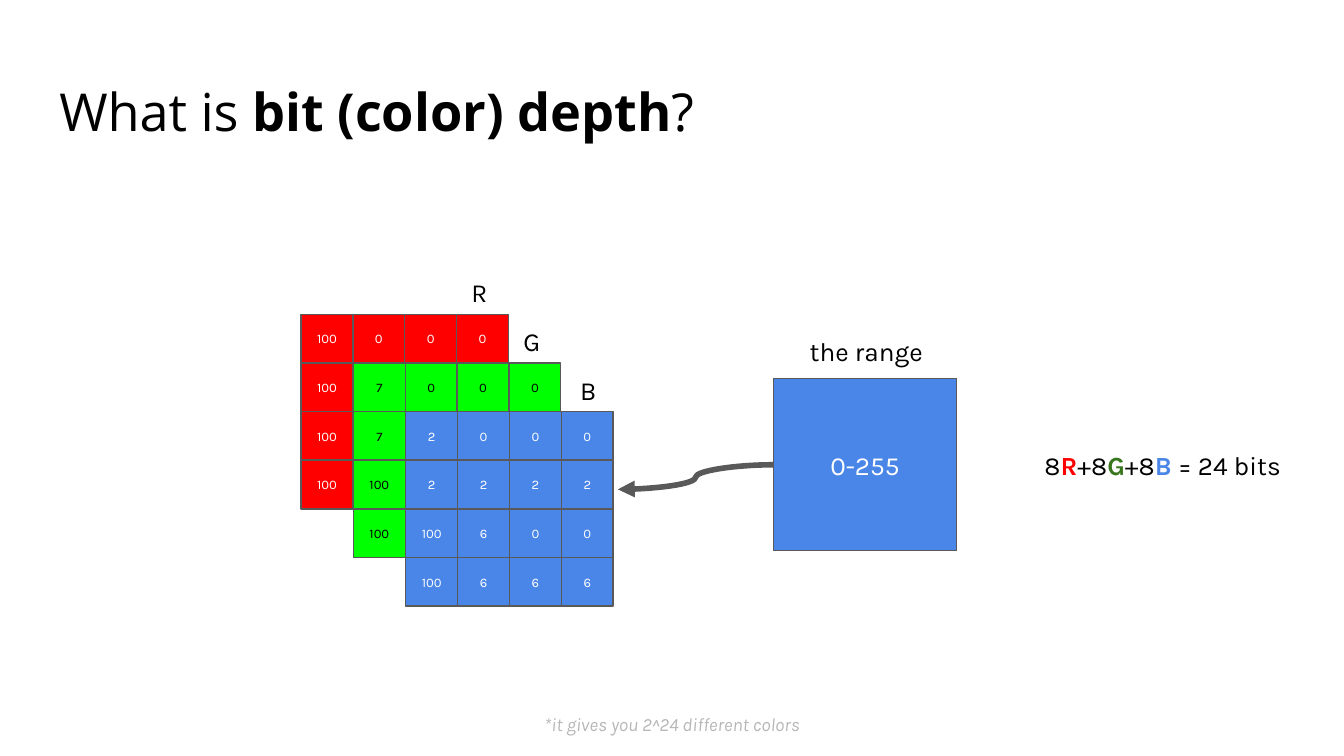
from lxml.etree import SubElement
from pptx import Presentation
from pptx.dml.color import RGBColor
from pptx.enum.shapes import MSO_CONNECTOR as Link, MSO_SHAPE as Shape
from pptx.enum.text import MSO_ANCHOR as Anchor, MSO_AUTO_SIZE as AutoSize, PP_ALIGN as Align
from pptx.oxml.ns import qn
from pptx.util import Cm, Pt

BLACK, WHITE, GREY, PALE = "000000", "FFFFFF", "595959", "B7B7B7"
RED, GREEN, BLUE, DARK_GREEN = "FF0000", "00FF00", "4A86E8", "38761D"
CELL_WIDTH, CELL_HEIGHT = 0.98, 0.92
STACK_LEFT, STACK_TOP = 5.69, 5.94
PLANE_SHIFT = 0.99

PLANES = [
    (RED, WHITE, [["100", "0", "0", "0"], ["100"], ["100"], ["100"]]),
    (GREEN, BLACK, [["7", "0", "0", "0"], ["7"], ["100"], ["100"]]),
    (BLUE, WHITE, [["2", "0", "0", "0"],
                   ["2", "2", "2", "2"],
                   ["100", "6", "0", "0"],
                   ["100", "6", "6", "6"]]),
]


def rgb(color):
    return RGBColor.from_string(color)


def write(box, text, size=14, color=BLACK, font="Karla", italic=False,
          align=Align.CENTER, anchor=Anchor.TOP):
    frame = box.text_frame
    frame.word_wrap = True
    frame.auto_size = AutoSize.NONE
    frame.vertical_anchor = anchor
    frame.margin_left = frame.margin_right = Cm(0.25)
    frame.margin_top = frame.margin_bottom = Cm(0.25)
    para = frame.paragraphs[0]
    para.alignment = align
    pieces = [(text, color, False)] if isinstance(text, str) else text
    for words, tint, bold in pieces:
        span = para.add_run()
        span.text = words
        span.font.name = font
        span.font.size = Pt(size)
        span.font.bold = bold
        span.font.italic = italic
        span.font.color.rgb = rgb(tint)


def add_title(page, text):
    title = page.shapes.title
    title.left, title.top, title.width, title.height = Cm(0.87), Cm(1.24), Cm(23.67), Cm(1.6)
    write(title, text, size=28, font="Open Sans", align=Align.LEFT)


def add_text(page, left, top, width, height, text, **style):
    box = page.shapes.add_textbox(Cm(left), Cm(top), Cm(width), Cm(height))
    write(box, text, **style)


def add_box(shapes, left, top, width, height, fill, text, **style):
    box = shapes.add_shape(Shape.RECTANGLE, Cm(left), Cm(top), Cm(width), Cm(height))
    box.shadow.inherit = False
    box.fill.solid()
    box.fill.fore_color.rgb = rgb(fill)
    box.line.color.rgb = rgb(GREY)
    box.line.width = Pt(0.75)
    write(box, text, anchor=Anchor.MIDDLE, **style)
    return box


def add_plane(page, left, top, fill, ink, values):
    group = page.shapes.add_group_shape()
    for row, numbers in enumerate(values):
        for column, number in enumerate(numbers):
            add_box(group.shapes, left + column * CELL_WIDTH, top + row * CELL_HEIGHT,
                    CELL_WIDTH, CELL_HEIGHT, fill, number, size=7, color=ink)


def add_curved_arrow(page, source, end_x, end_y):
    arrow = page.shapes.add_connector(Link.CURVE, source.left, source.top, Cm(end_x), Cm(end_y))
    arrow.begin_connect(source, 1)
    arrow.line.color.rgb = rgb(GREY)
    arrow.line.width = Pt(3)
    SubElement(arrow.line._get_or_add_ln(), qn("a:tailEnd"), type="triangle")
    SubElement(arrow._element.spPr, qn("a:effectLst"))


def main():
    deck = Presentation()
    deck.slide_width, deck.slide_height = Cm(25.4), Cm(14.29)
    page = deck.slides.add_slide(deck.slide_layouts[5])

    add_title(page, [("What is ", BLACK, False), ("bit (color) depth", BLACK, True),
                     ("?", BLACK, False)])
    add_text(page, 18.55, 7.16, 6.85, 3.25,
             [("8", BLACK, False), ("R", RED, True), ("+8", BLACK, False),
              ("G", DARK_GREEN, True), ("+8", BLACK, False), ("B", BLUE, True),
              (" = 24 bits", BLACK, False)], anchor=Anchor.MIDDLE)
    add_text(page, 0, 13.22, 25.4, 1.07, "*it gives you 2^24 different colors",
             size=10, color=PALE, italic=True)
    for channel, left, top in [("R", 8.5, 4.97), ("G", 9.49, 5.9), ("B", 10.56, 6.82)]:
        add_text(page, left, top, 1.12, 1.07, channel)

    range_box = add_box(page.shapes, 14.62, 7.16, 3.46, 3.25, BLUE, "0-255", color=WHITE)
    add_curved_arrow(page, range_box, 11.68, 9.25)
    add_text(page, 14.52, 6.09, 3.71, 1.07, "the range")

    for depth, (fill, ink, values) in enumerate(PLANES):
        add_plane(page, STACK_LEFT + depth * PLANE_SHIFT, STACK_TOP + depth * CELL_HEIGHT,
                  fill, ink, values)

    deck.save("out.pptx")


if __name__ == "__main__":
    main()
